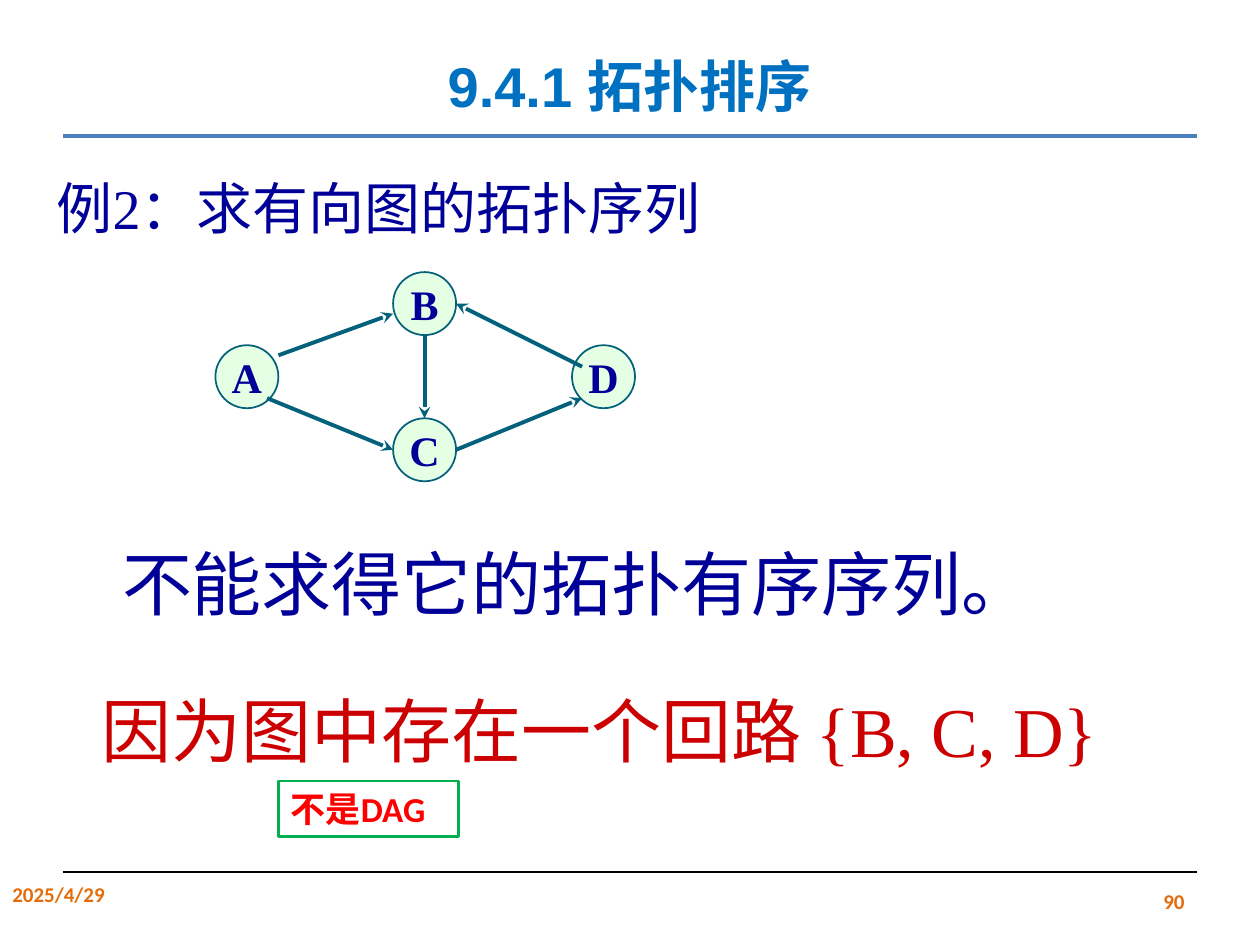
from typing import NamedTuple

from lxml import etree
from pptx import Presentation
from pptx.dml.color import RGBColor
from pptx.enum import shapes, text
from pptx.oxml import ns
from pptx.util import Inches, Pt

TITLE_BLUE = RGBColor(0x00, 0x70, 0xC0)
RULE_BLUE = RGBColor(0x4B, 0x7E, 0xBC)
NAVY = RGBColor(0x00, 0x00, 0x99)
TEAL = RGBColor(0x04, 0x61, 0x7B)
MINT = RGBColor(0xCC, 0xFF, 0xCC)
DARK_RED = RGBColor(0xCC, 0x00, 0x00)
RED = RGBColor(0xFF, 0x00, 0x00)
GREEN = RGBColor(0x00, 0xB0, 0x50)
ORANGE = RGBColor(0xE4, 0x6C, 0x0A)
BLACK = RGBColor(0x00, 0x00, 0x00)
WHITE = RGBColor(0xFF, 0xFF, 0xFF)

SERIF = "Times New Roman"
NODE_SIZE = 0.5
LEFT, CENTRE, RIGHT, JUSTIFY = (
    text.PP_ALIGN.LEFT, text.PP_ALIGN.CENTER, text.PP_ALIGN.RIGHT, text.PP_ALIGN.JUSTIFY)
TOP, MIDDLE = text.MSO_ANCHOR.TOP, text.MSO_ANCHOR.MIDDLE


class Node(NamedTuple):
    label: str
    left: float
    top: float


class Edge(NamedTuple):
    x1: float
    y1: float
    x2: float
    y2: float


class Statement(NamedTuple):
    wording: str
    box: tuple[float, float, float, float]
    size: int
    color: RGBColor


NODES = [Node("B", 3.12, 2.16), Node("D", 4.54, 2.74),
         Node("A", 1.71, 2.74), Node("C", 3.12, 3.32)]
EDGES = [
    Edge(2.21, 2.82, 3.12, 2.49),  # A to B
    Edge(2.12, 3.16, 3.12, 3.57),  # A to C
    Edge(3.62, 3.57, 4.62, 3.16),  # C to D
    Edge(4.62, 2.91, 3.62, 2.41),  # D to B
    Edge(3.37, 2.66, 3.37, 3.32),  # B to C
]
STATEMENTS = [
    Statement("不能求得它的拓扑有序序列。", (0.87, 4.24, 7.42, 0.77), 40, NAVY),
    Statement("因为图中存在一个回路 {B, C, D}", (0.71, 5.41, 8.13, 0.77), 40, DARK_RED),
    Statement("例2：求有向图的拓扑序列", (0.35, 1.33, 5.36, 0.64), 32, NAVY),
]


def write(shape, wording: str, *, size: int, color: RGBColor, font: str = SERIF,
          bold: bool = False, align=LEFT, anchor=TOP, wrap: bool = True):
    """Fill a shape with one formatted paragraph and return that paragraph."""
    frame = shape.text_frame
    frame.auto_size = text.MSO_AUTO_SIZE.NONE
    frame.word_wrap = wrap
    frame.vertical_anchor = anchor
    paragraph = frame.paragraphs[0]
    paragraph.alignment = align
    run = paragraph.add_run()
    run.text = wording
    run.font.size, run.font.bold, run.font.name = Pt(size), bold, font
    run.font.color.rgb = color
    return paragraph


def add_box(slide, kind, box, fill: RGBColor, line: RGBColor, width: float):
    shape = slide.shapes.add_shape(kind, *map(Inches, box))
    shape.shadow.inherit = False
    shape.fill.solid()
    shape.fill.fore_color.rgb = fill
    shape.line.color.rgb = line
    shape.line.width = Pt(width)
    return shape


def add_line(slide, edge: Edge, color: RGBColor, width: float, arrow: bool = False) -> None:
    line = slide.shapes.add_connector(shapes.MSO_CONNECTOR.STRAIGHT, *map(Inches, edge))
    line.line.color.rgb = color
    line.line.width = Pt(width)
    if arrow:
        etree.SubElement(line.line._get_or_add_ln(), ns.qn("a:tailEnd"), type="stealth")
    etree.SubElement(line._element.spPr, ns.qn("a:effectLst"))


def add_node(slide, node: Node) -> None:
    circle = add_box(slide, shapes.MSO_SHAPE.OVAL,
                     (node.left, node.top, NODE_SIZE, NODE_SIZE), MINT, TEAL, 1)
    # Half-transparent fill
    fill_color = circle._element.spPr.find(ns.qn("a:solidFill"))[0]
    etree.SubElement(fill_color, ns.qn("a:alpha"), val="50000")
    write(circle, node.label, size=24, color=NAVY, bold=True,
          align=CENTRE, anchor=MIDDLE, wrap=False)


def add_text(slide, box, wording: str, **style) -> None:
    write(slide.shapes.add_textbox(*map(Inches, box)), wording, **style)


def main() -> None:
    prs = Presentation()
    prs.slide_width, prs.slide_height = Inches(10), Inches(7.5)
    slide = prs.slides.add_slide(prs.slide_layouts[5])

    # Title and rules
    title = slide.shapes.title
    title.left, title.top, title.width, title.height = map(Inches, (0.5, 0, 9, 1.09))
    heading = write(title, "9.4.1 拓扑排序", size=32, color=TITLE_BLUE, font="Arial",
                    bold=True, align=CENTRE, anchor=MIDDLE)
    heading.line_spacing = 1.5
    heading.space_before = heading.space_after = Pt(1.6)
    add_line(slide, Edge(0.5, 1.08, 9.5, 1.08), RULE_BLUE, 2.75)
    add_line(slide, Edge(0.5, 6.92, 9.5, 6.92), BLACK, 0.75)

    # Footer
    footer = dict(size=12, color=ORANGE, font="Calibri", bold=True)
    add_text(slide, (0, 6.95, 2.33, 0.4), "2025/4/29", **footer)
    add_text(slide, (7.17, 6.95, 2.33, 0.4), "90", align=RIGHT, anchor=MIDDLE, **footer)

    # Directed graph
    for node in NODES:
        add_node(slide, node)
    for edge in EDGES:
        add_line(slide, edge, TEAL, 2.25, arrow=True)

    # Question, answer and reason
    for statement in STATEMENTS:
        add_text(slide, statement.box, statement.wording,
                 size=statement.size, color=statement.color)

    # Remark
    remark = add_box(slide, shapes.MSO_SHAPE.RECTANGLE, (2.21, 6.2, 1.43, 0.44),
                     WHITE, GREEN, 1.5)
    write(remark, "不是DAG", size=20, color=RED, font="Calibri", bold=True, align=JUSTIFY)

    prs.save("out.pptx")


if __name__ == "__main__":
    main()
